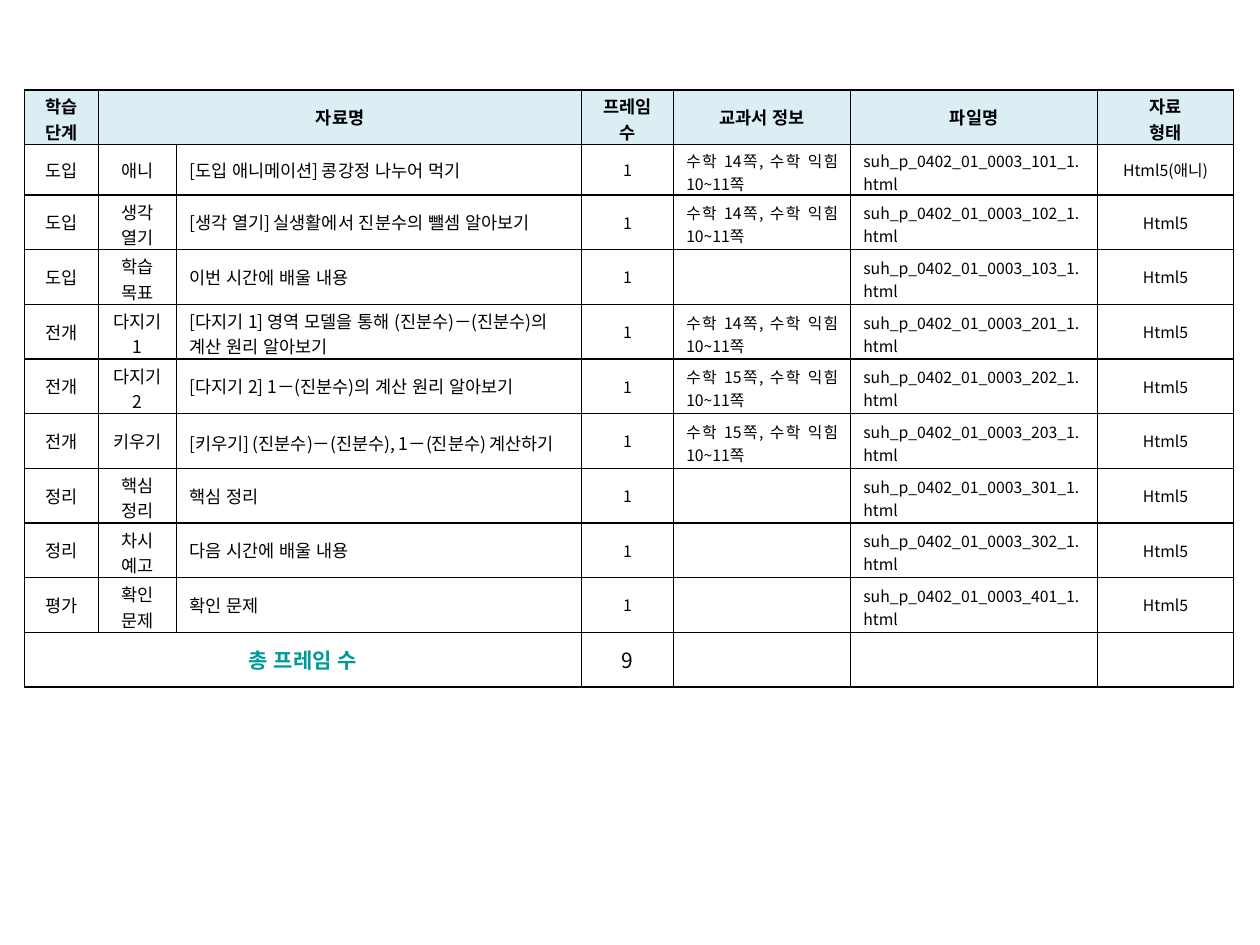
from lxml import etree
from pptx import Presentation
from pptx import util as u
from pptx.dml.color import RGBColor
from pptx.enum import lang, text
from pptx.oxml import ns
from pptx.text.text import Font

BLACK = RGBColor(0x00, 0x00, 0x00)
TEAL = RGBColor(0x00, 0x99, 0x99)
PALE_BLUE = RGBColor(0xDB, 0xEE, 0xF4)

CENTER, LEFT, JUSTIFY = (
    text.PP_ALIGN.CENTER, text.PP_ALIGN.LEFT, text.PP_ALIGN.JUSTIFY)

BODY_FORMATS = [
    (CENTER, 10), (CENTER, 10), (LEFT, 10), (CENTER, 9),
    (JUSTIFY, 9), (JUSTIFY, 9), (CENTER, 9),
]
COLUMN_WIDTHS = [1.5, 1.57, 8.16, 1.86, 3.57, 4.97, 2.75]
ONE_LINE_LENGTHS = [3, 4, 30, 4, 10, 20, 9]
ROW_HEIGHT = 1.1
FIRST_LESSON_HEIGHT = 1.02

HEADINGS = ["학습 단계", "자료명", "", "프레임 수", "교과서 정보", "파일명",
            "자료\n형태"]
LESSONS = [
    ("도입", "애니", "[도입 애니메이션] 콩강정 나누어 먹기", 14, 101),
    ("도입", "생각 열기", "[생각 열기] 실생활에서 진분수의 뺄셈 알아보기", 14, 102),
    ("도입", "학습 목표", "이번 시간에 배울 내용", None, 103),
    ("전개", "다지기 1",
     "[다지기 1] 영역 모델을 통해 (진분수)－(진분수)의 계산 원리 알아보기", 14, 201),
    ("전개", "다지기 2", "[다지기 2] 1－(진분수)의 계산 원리 알아보기", 15, 202),
    ("전개", "키우기", "[키우기] (진분수)－(진분수), 1－(진분수) 계산하기", 15, 203),
    ("정리", "핵심 정리", "핵심 정리", None, 301),
    ("정리", "차시 예고", "다음 시간에 배울 내용", None, 302),
    ("평가", "확인 문제", "확인 문제", None, 401),
]


class LessonDeck:
    font_name = "Noto Sans CJK KR"
    line_factor = 1.45
    top_margin = u.Cm(0.13)
    border_width = u.Pt(1)

    def __init__(self):
        self.deck = Presentation()
        self.deck.slide_width = u.Cm(25.4)
        self.deck.slide_height = u.Cm(19.05)
        self.slide = self.deck.slides.add_slide(self.deck.slide_layouts[6])

    def table(self, left, top, widths, heights):
        frame = self.slide.shapes.add_table(
            len(heights), len(widths), u.Cm(left), u.Cm(top),
            u.Cm(sum(widths)), u.Cm(sum(heights)))
        table = frame.table
        table.first_row = table.horz_banding = False
        for column, width in zip(table.columns, widths):
            column.width = u.Cm(width)
        for row, height in zip(table.rows, heights):
            row.height = u.Cm(height)
        return table

    def style_font(self, font, size, bold, color):
        font.color.rgb = color
        values = {"size": u.Pt(size), "bold": bold, "name": self.font_name,
                  "language_id": lang.MSO_LANGUAGE_ID.KOREAN}
        for attribute, value in values.items():
            setattr(font, attribute, value)
        font._rPr.set("kern", "0")
        etree.SubElement(font._rPr, ns.qn("a:ea"), typeface=self.font_name)

    def cell(self, cell, content, align, size, bold=False, color=BLACK,
             fill=None):
        cell.text = content
        cell.vertical_anchor = text.MSO_ANCHOR.MIDDLE
        for paragraph in cell.text_frame.paragraphs:
            paragraph.alignment = align
            for run in paragraph.runs:
                self.style_font(run.font, size, bold, color)
            if not paragraph.runs:
                ending = paragraph._p.get_or_add_endParaRPr()
                self.style_font(Font(ending), size, bold, color)
        self.borders(cell)
        if fill is None:
            cell.fill.background()
        else:
            cell.fill.solid()
            cell.fill.fore_color.rgb = fill

    def fit_two_lines(self, cell, row_height, size):
        slack = row_height - u.Pt(2 * size * self.line_factor)
        cell.margin_top = min(self.top_margin, slack)
        cell.margin_bottom = slack - cell.margin_top

    def borders(self, cell):
        properties = cell._tc.get_or_add_tcPr()
        for side in ("lnL", "lnR", "lnT", "lnB"):
            line = etree.SubElement(properties, ns.qn("a:" + side),
                                    w=str(self.border_width))
            paint = etree.SubElement(line, ns.qn("a:solidFill"))
            etree.SubElement(paint, ns.qn("a:srgbClr"), val=str(BLACK))

    def save(self):
        self.deck.save("out.pptx")


def lesson_row(stage, activity, title, page, number):
    textbook = f"수학 {page}쪽, 수학 익힘 10~11쪽" if page else ""
    file_name = f"suh_p_0402_01_0003_{number}_1.html"
    media = "Html5(애니)" if activity == "애니" else "Html5"
    return [stage, activity, title, "1", textbook, file_name, media]


def main():
    lesson_deck = LessonDeck()
    heights = [ROW_HEIGHT] * (len(LESSONS) + 2)
    heights[1] = FIRST_LESSON_HEIGHT
    plan = lesson_deck.table(0.49, 1.81, COLUMN_WIDTHS, heights)
    total_row = len(heights) - 1

    rows = [HEADINGS] + [lesson_row(*lesson) for lesson in LESSONS]
    for row, contents in enumerate(rows):
        for column, content in enumerate(contents):
            align, size = BODY_FORMATS[column] if row else (CENTER, 10)
            cell = plan.cell(row, column)
            lesson_deck.cell(cell, content, align, size, bold=row == 0,
                             fill=None if row else PALE_BLUE)
            if "\n" in content or len(content) > ONE_LINE_LENGTHS[column]:
                lesson_deck.fit_two_lines(cell, plan.rows[row].height, size)
    totals = ["총 프레임 수", "", "", str(len(LESSONS)), "", "", ""]
    for column, content in enumerate(totals):
        is_label = column == 0
        lesson_deck.cell(plan.cell(total_row, column), content, CENTER, 12,
                         bold=is_label, color=TEAL if is_label else BLACK)

    plan.cell(0, 1).merge(plan.cell(0, 2))
    plan.cell(total_row, 0).merge(plan.cell(total_row, 2))
    lesson_deck.save()


if __name__ == "__main__":
    main()
